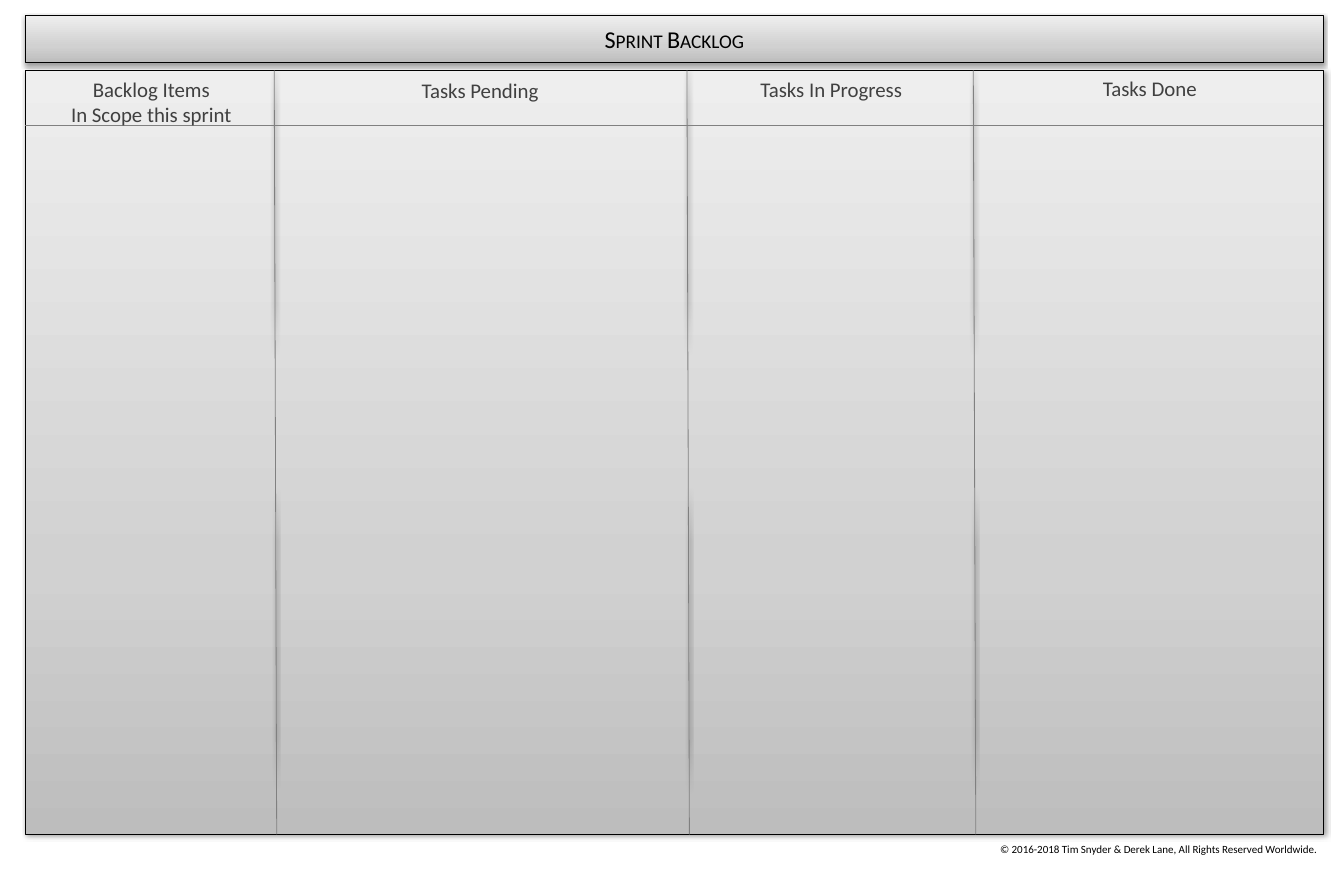
"""Build the Sprint Backlog board: a title bar over four task columns."""
from copy import deepcopy
from typing import Any, NamedTuple

from lxml import etree
from pptx import Presentation
from pptx.dml import color
from pptx.enum import shapes, text
from pptx.util import Cm, Pt

FONT = "Calibri"
BLACK, GREY, CHARCOAL = "000000", "808080", "404040"
GRADIENT = ((0, "BDBDBD"), (0.35, "D1D1D1"), (1, "EEEEEE"))
DRAWING = "http://schemas.openxmlformats.org/drawingml/2006/main"
SLANT = 0.08


class Rect(NamedTuple):
    left: float
    top: float
    width: float
    height: float


class Shadow(NamedTuple):
    alpha: int
    blur: float
    distance: float
    angle: int


class Column(NamedTuple):
    lines: tuple[str, ...]
    area: Rect


TITLE = Rect(0.81, 0.51, 41.71, 1.5)
BOARD = Rect(0.81, 2.26, 41.71, 24.54)
CREDIT = Rect(31.26, 26.92, 11.92, 0.69)
HEADER_BOTTOM = 4.04
DIVIDERS = (8.81, 22.07, 31.27)
SOFT = Shadow(38, 3.1, 1.6, 90)
DEEP = Shadow(40, 4, 3, 45)
COLUMNS = (
    Column(("Backlog Items", "In Scope this sprint"), Rect(0.81, 2.34, 8.1, 1.88)),
    Column(("Tasks Pending",), Rect(8.81, 2.36, 13.23, 1.07)),
    Column(("Tasks In Progress",), Rect(22.07, 2.34, 9.27, 1.07)),
    Column(("Tasks Done",), Rect(31.39, 2.29, 11.1, 1.07)),
)


def rgb(value: str) -> color.RGBColor:
    """Turn a hex string into a colour."""
    return color.RGBColor.from_string(value)


def apply(target: Any, values: dict[str, Any]) -> None:
    """Set every named attribute on the target."""
    for name, value in values.items():
        setattr(target, name, value)


def lengths(values: tuple[float, ...]) -> list[Cm]:
    """Convert centimetres to slide lengths."""
    return [Cm(value) for value in values]


def add_shadow(shape: Any, shadow: Shadow) -> None:
    """Give the shape an outer shadow."""
    effects = etree.SubElement(shape.element.spPr, f"{{{DRAWING}}}effectLst")
    outer = etree.SubElement(effects, f"{{{DRAWING}}}outerShdw", {
        "blurRad": str(Pt(shadow.blur)),
        "dist": str(Pt(shadow.distance)),
        "dir": str(shadow.angle * 60000),
        "rotWithShape": "0",
    })
    black = etree.SubElement(outer, f"{{{DRAWING}}}srgbClr", val=BLACK)
    etree.SubElement(black, f"{{{DRAWING}}}alpha", val=str(shadow.alpha * 1000))


def style_line(shape: Any, value: str) -> None:
    """Draw the outline in a thin solid colour."""
    shape.line.color.rgb = rgb(value)
    shape.line.width = Pt(0.75)


def style_panel(shape: Any, shadow: Shadow) -> None:
    """Give a panel the grey gradient, black outline and shadow."""
    shape.fill.gradient()
    shape.fill.gradient_angle = 90
    stops = shape.element.xpath(".//a:gsLst")[0]
    stops.insert(1, deepcopy(stops[0]))
    for stop, (position, value) in zip(shape.fill.gradient_stops, GRADIENT):
        stop.position = position
        stop.color.rgb = rgb(value)
    style_line(shape, BLACK)
    add_shadow(shape, shadow)


def write(shape: Any, lines: tuple[str, ...], size: int, value: str, anchor: Any) -> None:
    """Write centred lines of text into the shape."""
    frame = shape.text_frame
    frame.text = "\n".join(lines)
    apply(frame, {"word_wrap": True, "auto_size": text.MSO_AUTO_SIZE.NONE,
                  "vertical_anchor": anchor})
    for para in frame.paragraphs:
        para.alignment = text.PP_ALIGN.CENTER
        for span in para.runs:
            apply(span.font, {"name": FONT, "size": Pt(size)})
            span.font.color.rgb = rgb(value)


def add_label(page: Any, area: Rect, lines: tuple[str, ...], size: int, value: str) -> None:
    """Add a text box with centred lines."""
    box = page.shapes.add_textbox(*lengths(area))
    write(box, lines, size, value, text.MSO_ANCHOR.TOP)


def add_rule(page: Any, *ends: float) -> None:
    """Add a grey line between two points."""
    rule = page.shapes.add_connector(shapes.MSO_CONNECTOR.STRAIGHT, *lengths(ends))
    style_line(rule, GREY)
    add_shadow(rule, SOFT)


def build() -> None:
    """Build and save the slide."""
    deck = Presentation()
    apply(deck, {"slide_width": Cm(43.18), "slide_height": Cm(27.94)})
    page = deck.slides.add_slide(deck.slide_layouts.get_by_name("Title Only"))

    title = page.shapes.title
    apply(title, dict(zip(TITLE._fields, lengths(TITLE))))
    style_panel(title, SOFT)
    write(title, ("Sprint Backlog",), 22, BLACK, text.MSO_ANCHOR.MIDDLE)
    title.element.xpath(".//a:rPr")[0].set("cap", "small")

    board = page.shapes.add_shape(shapes.MSO_SHAPE.RECTANGLE, *lengths(BOARD))
    style_panel(board, DEEP)
    for left in DIVIDERS:
        add_rule(page, left, BOARD.top, left + SLANT, BOARD.top + BOARD.height)
    add_rule(page, BOARD.left, HEADER_BOTTOM, BOARD.left + BOARD.width, HEADER_BOTTOM)

    for column in COLUMNS:
        add_label(page, column.area, column.lines, 19, CHARCOAL)
    notice = "©\u00a02016-2018 Tim Snyder & Derek Lane, All Rights Reserved Worldwide."
    add_label(page, CREDIT, (notice,), 10, BLACK)
    deck.save("out.pptx")


build()
